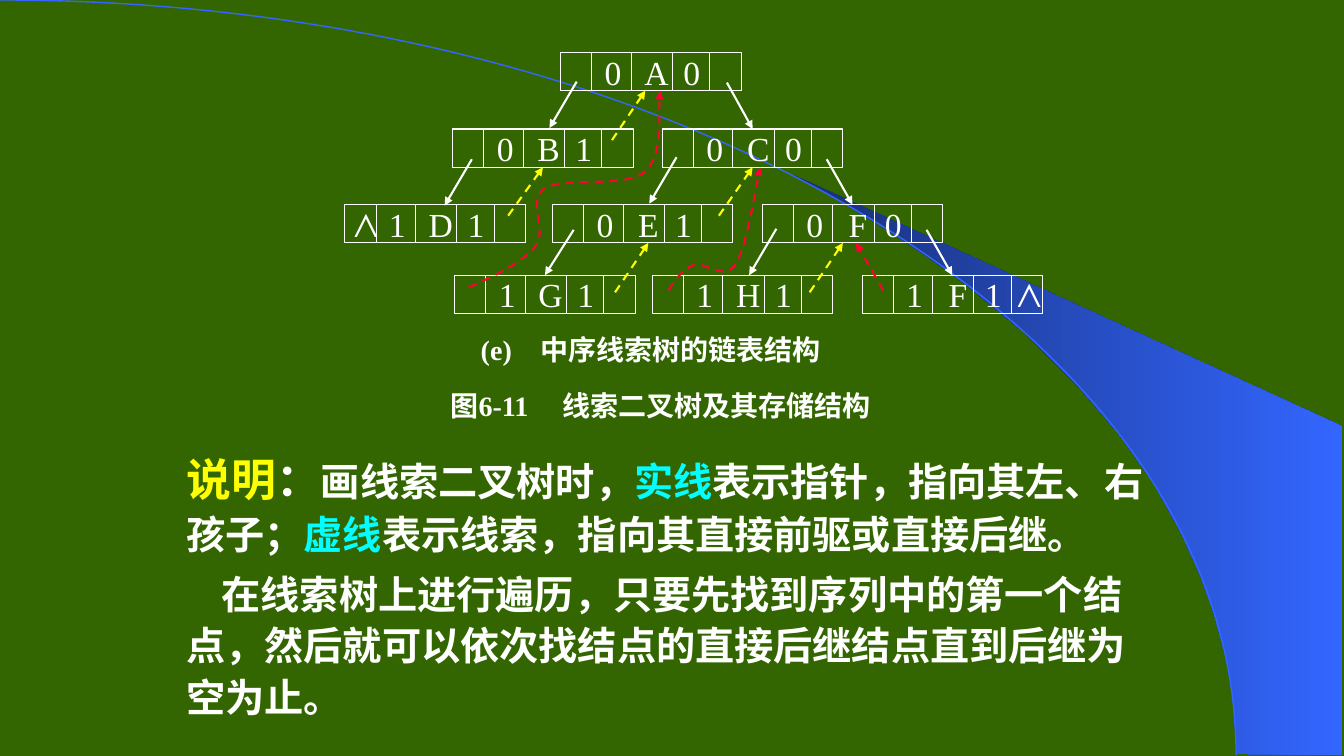
from dataclasses import dataclass

from pptx import Presentation
from pptx.dml.color import RGBColor
from pptx.enum.dml import MSO_LINE
from pptx.enum.shapes import MSO_CONNECTOR, MSO_SHAPE
from pptx.enum.text import MSO_ANCHOR, PP_ALIGN
from pptx.oxml.ns import qn
from pptx.util import Inches, Pt

RECTANGLE = MSO_SHAPE.RECTANGLE
STRAIGHT = MSO_CONNECTOR.STRAIGHT
DASH = MSO_LINE.DASH
MIDDLE = MSO_ANCHOR.MIDDLE
LEFT = PP_ALIGN.LEFT

GREEN, BLUE, NAVY = "336600", "3366FF", "182F76"
WHITE, YELLOW, CYAN, RED = "FFFFFF", "FFFF00", "00FFFF", "FF0033"
ROMAN, HEI = "Times New Roman", "Noto Sans CJK SC"

NODE_WIDTH, NODE_HEIGHT = 1.79, 0.38
DIVIDERS = (0.31, 0.7, 1.11, 1.48)
CELL_CENTERS = (0.21, 0.52, 0.95, 1.3, 1.66)
TOP, BOTTOM = 0, 2


@dataclass(frozen=True)
class Node:
    name: str
    left: float
    top: float
    cells: tuple[str, ...]


@dataclass(frozen=True)
class ArrowKind:
    dx: float
    dy: float
    color: str
    dashed: bool
    side: int


@dataclass(frozen=True)
class Arrow:
    x: float
    y: float
    kind: ArrowKind
    target: str = ""


@dataclass(frozen=True)
class Span:
    text: str
    color: str = WHITE
    size: int = 28
    font: str = HEI


NODES = (
    Node("A", 5.56, 0.52, ("", "0", "A", "0")),
    Node("B", 4.49, 1.28, ("", "0", "B", "1")),
    Node("C", 6.57, 1.28, ("", "0", "C", "0")),
    Node("D", 3.42, 2.03, ("⋀", "1", "D", "1")),
    Node("E", 5.48, 2.03, ("", "0", "E", "1")),
    Node("F", 7.56, 2.03, ("", "0", "F", "0")),
    Node("G", 4.51, 2.73, ("", "1", "G", "1")),
    Node("H", 6.47, 2.73, ("", "1", "H", "1")),
    Node("last", 8.55, 2.73, ("", "1", "F", "1", "⋀")),
)

LEFT_CHILD = ArrowKind(-0.27, 0.46, WHITE, False, TOP)
RIGHT_CHILD = ArrowKind(0.27, 0.46, WHITE, False, TOP)
SUCCESSOR = ArrowKind(0.33, -0.49, YELLOW, True, BOTTOM)
PREDECESSOR = ArrowKind(-0.27, -0.47, RED, True, BOTTOM)

# A target is named where the arrow meets the middle of that node's side.
ARROWS = (
    Arrow(5.72, 0.81, LEFT_CHILD), Arrow(7.21, 0.82, RIGHT_CHILD, "C"),
    Arrow(4.68, 1.58, LEFT_CHILD), Arrow(6.71, 1.56, LEFT_CHILD),
    Arrow(8.2, 1.58, RIGHT_CHILD, "F"), Arrow(5.69, 2.28, LEFT_CHILD, "G"),
    Arrow(7.7, 2.27, LEFT_CHILD), Arrow(9.19, 2.28, RIGHT_CHILD, "last"),
    Arrow(5.04, 2.14, SUCCESSOR, "B"), Arrow(6.07, 1.39, SUCCESSOR),
    Arrow(6.1, 2.9, SUCCESSOR), Arrow(7.13, 2.14, SUCCESSOR, "C"),
    Arrow(8.03, 2.9, SUCCESSOR), Arrow(8.76, 2.88, PREDECESSOR),
)

# Each curve is a start point followed by three points per Bezier segment.
ARC = ((0, 0), (6.77, 0), (12.26, 3.35), (12.26, 7.49))
RED_THREADS = (
    ((4.65, 2.85), (4.92, 2.73), (5.19, 2.6), (5.31, 2.44),
     (5.44, 2.28), (5.22, 2), (5.4, 1.87),
     (5.58, 1.75), (6.19, 1.87), (6.39, 1.71),
     (6.58, 1.55), (6.52, 1.03), (6.55, 0.9)),
    ((6.63, 2.88), (6.7, 2.77), (6.77, 2.67), (6.88, 2.63),
     (6.99, 2.59), (7.18, 2.79), (7.29, 2.63),
     (7.4, 2.47), (7.5, 1.82), (7.54, 1.66)),
)
SWOOSH = (
    (12.27, 7.48), (13.31, 7.49), (13.31, 4.23), (7.86, 1.73), (8.32, 1.99),
    (8.7, 2.22), (9.13, 2.5), (9.55, 2.8), (10.16, 3.3), (10.7, 3.84),
    (11.1, 4.31), (11.44, 4.79), (11.71, 5.28), (11.91, 5.72), (12.04, 6.09),
    (12.17, 6.56), (12.23, 6.96),
)

EXPLANATION = (
    (Span("说明", YELLOW, 32), Span("：", WHITE, 32, ROMAN),
     Span("画线索二叉树时，"), Span("实线", CYAN),
     Span("表示指针，指向其左"), Span("、", font=ROMAN), Span("右孩子；"),
     Span("虚线", CYAN), Span("表示线索，指向其直接前驱或直接后继。")),
    (Span("在线索树上进行遍历，只要先找到序列中的第一个结点，"
          "然后就可以依次找结点的直接后继结点直到后继为空为止。"),),
)


def rgb(value: str) -> RGBColor:
    return RGBColor.from_string(value)


def apply(target, values: dict) -> None:
    for name, value in values.items():
        setattr(target, name, value)


def set_line(shape, color: str, width: float, dashed=False, arrow=False) -> None:
    shape.line.color.rgb = rgb(color)
    shape.line.width = Pt(width)
    if dashed:
        shape.line.dash_style = DASH
    if arrow:
        line = shape._element.spPr.get_or_add_ln()
        line.append(line.makeelement(qn("a:tailEnd"), {"type": "triangle"}))


def add_line(page, x1: float, y1: float, x2: float, y2: float):
    line = page.shapes.add_connector(STRAIGHT, *map(Inches, (x1, y1, x2, y2)))
    properties = line._element.spPr
    properties.append(properties.makeelement(qn("a:effectLst")))
    return line


def add_outline(page, points, closed: bool):
    places = [(Inches(x), Inches(y)) for x, y in points]
    builder = page.shapes.build_freeform(*places[0])
    builder.add_line_segments(places[1:], close=closed)
    shape = builder.convert_to_shape()
    shape.shadow.inherit = False
    return shape


def add_curve(page, controls):
    """Draw a chain of cubic Bezier segments without fill."""
    shape = add_outline(page, controls, False)
    shape.fill.background()
    steps = list(shape._element.iter(qn("a:lnTo")))
    for first in range(0, len(steps), 3):
        bend = steps[first].makeelement(qn("a:cubicBezTo"))
        steps[first].addprevious(bend)
        for step in steps[first:first + 3]:
            bend.append(step[0])
            step.getparent().remove(step)
    return shape


def add_tabs(para, stops, align: str) -> None:
    properties = para._p.get_or_add_pPr()
    tabs = properties.makeelement(qn("a:tabLst"))
    for stop in stops:
        tabs.append(tabs.makeelement(
            qn("a:tab"), {"pos": str(Inches(stop)), "algn": align}))
    properties.append(tabs)


def add_span(para, span: Span, bold: bool) -> None:
    run = para.add_run()
    run.text = span.text
    apply(run.font, {"name": span.font, "size": Pt(span.size), "bold": bold})
    run.font.color.rgb = rgb(span.color)
    properties = run._r.get_or_add_rPr()
    properties.append(properties.makeelement(qn("a:ea"), {"typeface": HEI}))


def add_node(page, node: Node):
    box = page.shapes.add_shape(RECTANGLE, *map(
        Inches, (node.left, node.top, NODE_WIDTH, NODE_HEIGHT)))
    box.shadow.inherit = False
    box.fill.background()
    set_line(box, WHITE, 0.75)
    apply(box.text_frame, {"margin_left": 0, "margin_right": 0, "margin_top": 0,
                           "margin_bottom": 0, "vertical_anchor": MIDDLE,
                           "word_wrap": True})
    para = box.text_frame.paragraphs[0]
    para.alignment = LEFT
    add_tabs(para, CELL_CENTERS, "ctr")
    add_span(para, Span("\t" + "\t".join(node.cells), size=24, font=ROMAN), False)
    for offset in DIVIDERS:
        x = node.left + offset
        set_line(add_line(page, x, node.top, x, node.top + NODE_HEIGHT), WHITE, 0.75)
    return box


def add_arrow(page, arrow: Arrow, boxes: dict) -> None:
    kind = arrow.kind
    line = add_line(page, arrow.x, arrow.y, arrow.x + kind.dx, arrow.y + kind.dy)
    set_line(line, kind.color, 1.5, kind.dashed, arrow=True)
    if arrow.target:
        line.end_connect(boxes[arrow.target], kind.side)


def add_caption(page, left: float, top: float, width: float, tab: float, spans) -> None:
    box = page.shapes.add_textbox(*map(Inches, (left, top, width, 0.39)))
    apply(box.text_frame, {"word_wrap": True, "vertical_anchor": MIDDLE,
                           "margin_right": 0})
    para = box.text_frame.paragraphs[0]
    add_tabs(para, (tab,), "l")
    for span in spans:
        add_span(para, span, True)


def add_explanation(page) -> None:
    box = page.shapes.add_textbox(*map(Inches, (1.75, 4.38, 9.72, 2.86)))
    frame = box.text_frame
    frame.word_wrap = True
    for index, spans in enumerate(EXPLANATION):
        para = frame.add_paragraph() if index else frame.paragraphs[0]
        para.line_spacing = 1.1
        if index:
            para.space_before = Pt(5.6)
            para._p.get_or_add_pPr().set("indent", str(Inches(0.35)))
        for span in spans:
            add_span(para, span, True)


def main() -> None:
    deck = Presentation()
    apply(deck, {"slide_width": Inches(13.33), "slide_height": Inches(7.5)})
    page = deck.slides.add_slide(deck.slide_layouts[6])
    page.background.fill.solid()
    page.background.fill.fore_color.rgb = rgb(GREEN)

    swoosh = add_outline(page, SWOOSH, True)
    swoosh.line.fill.background()
    swoosh.fill.gradient()
    swoosh.fill.gradient_angle = 0
    for stop, color in zip(swoosh.fill.gradient_stops, (NAVY, BLUE)):
        stop.color.rgb = rgb(color)
    set_line(add_curve(page, ARC), BLUE, 1)

    boxes = {node.name: add_node(page, node) for node in NODES}
    for arrow in ARROWS:
        add_arrow(page, arrow, boxes)
    for controls in RED_THREADS:
        set_line(add_curve(page, controls), RED, 1.5, dashed=True, arrow=True)

    add_caption(page, 4.67, 3.27, 3.6, 0.59,
                (Span("(e)\t中序线索树的链表结构", size=20, font=ROMAN),))
    add_caption(page, 4.37, 3.83, 4.3, 1.11,
                (Span("图", size=20, font="Arial"),
                 Span("6-11\t线索二叉树及其存储结构", size=20, font=ROMAN)))
    add_explanation(page)
    deck.save("out.pptx")


if __name__ == "__main__":
    main()
